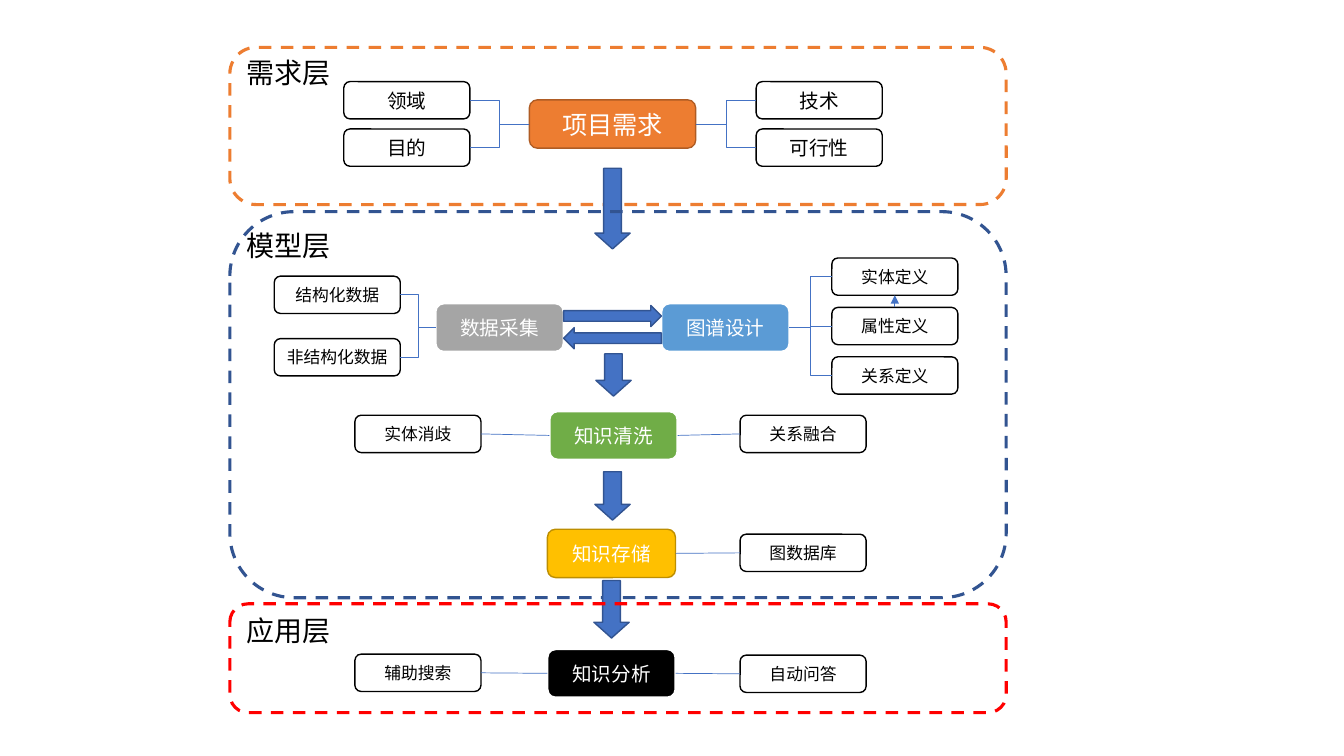
from lxml import etree
from pptx import Presentation
from pptx import util as u
from pptx.dml.color import RGBColor
from pptx.enum import dml, shapes, text
from pptx.oxml import ns

FONT = "Noto Sans CJK SC"
BLUE, NAVY, ORANGE = "4472C4", "325491", "ED7D31"
TOP, LEFT, BOTTOM, RIGHT = range(4)
NODE = shapes.MSO_SHAPE.FLOWCHART_ALTERNATE_PROCESS


def rgb(value):
    """Return the colour for a hex string."""
    return RGBColor.from_string(value)


def inside(box, x, y, w, h):
    """Return a box placed relative to the corner of another."""
    return box[0] + x, box[1] + y, w, h


def draw(slide, kind, box, fill=None, line=None, width=1):
    """Add a preset shape with its fill and outline."""
    shape = slide.shapes.add_shape(kind, *[u.Inches(n) for n in box])
    shape.shadow.inherit = False
    if fill:
        shape.fill.solid()
        shape.fill.fore_color.rgb = rgb(fill)
    else:
        shape.fill.background()
    if line:
        shape.line.color.rgb = rgb(line)
        shape.line.width = u.Pt(width)
    else:
        shape.line.fill.background()
    return shape


def write(shape, words, size=12, color="000000"):
    """Put centred text into a shape."""
    frame = shape.text_frame
    frame.word_wrap = True
    frame.vertical_anchor = text.MSO_ANCHOR.MIDDLE
    frame.margin_left = frame.margin_right = u.Inches(0.05)
    frame.margin_top = frame.margin_bottom = 0
    paragraph = frame.paragraphs[0]
    paragraph.alignment = text.PP_ALIGN.CENTER
    run = paragraph.add_run()
    run.text = words
    run.font.size = u.Pt(size)
    run.font.name = FONT
    run.font.color.rgb = rgb(color)
    etree.SubElement(run._r.get_or_add_rPr(), ns.qn("a:ea"), typeface=FONT)
    return shape


def detail(slide, box, x, y, words, size=12):
    """Add a white node with a black outline."""
    node = draw(slide, NODE, inside(box, x, y, 1.25, 0.37), "FFFFFF", "000000")
    return write(node, words, size)


def stage(slide, box, x, y, words, fill, line="FFFFFF", width=1.5, w=1.27, size=14):
    """Add a coloured node for a main step."""
    node = draw(slide, NODE, inside(box, x, y, w, 0.48), fill, line, width)
    return write(node, words, size, "FFFFFF")


def link(slide, start, start_side, end, end_side, bent=False, arrow=False):
    """Join two nodes with a thin line."""
    kind = shapes.MSO_CONNECTOR.ELBOW if bent else shapes.MSO_CONNECTOR.STRAIGHT
    connector = slide.shapes.add_connector(kind, 0, 0, 0, 0)
    connector.begin_connect(start, start_side)
    connector.end_connect(end, end_side)
    connector.line.color.rgb = rgb(BLUE)
    connector.line.width = u.Pt(0.5)
    if arrow:
        etree.SubElement(connector.line._get_or_add_ln(), ns.qn("a:tailEnd"), type="triangle")
    etree.SubElement(connector._element.spPr, ns.qn("a:effectLst"))


def branch(slide, box, core, side, x, tops, names, size=12):
    """Add a column of details, each joined to the core by an elbow."""
    details = [detail(slide, box, x, y, name, size) for y, name in zip(tops, names)]
    for item in details:
        link(slide, core, side, item, RIGHT if side == LEFT else LEFT, bent=True)
    return details


def down_arrow(slide, box, x, y, height):
    """Add a block arrow to the next step."""
    arrow = draw(slide, shapes.MSO_SHAPE.DOWN_ARROW, inside(box, x, y, 0.35, height), BLUE, NAVY)
    arrow.adjustments[1] = 0.447


def layer_frame(slide, box, name, color, label_top):
    """Add the dashed frame of a layer and its name."""
    frame = draw(slide, shapes.MSO_SHAPE.ROUNDED_RECTANGLE, box, line=color, width=2.25)
    frame.line.dash_style = dml.MSO_LINE.DASH
    write(draw(slide, NODE, inside(box, 0, label_top, 1.17, 0.37)), name, 20)


def requirement_layer(slide, box):
    """Build the top layer."""
    layer_frame(slide, box, "需求层", ORANGE, 0.06)
    project = stage(slide, box, 2.97, 0.52, "项目需求", ORANGE, "AF5C24", 1, w=1.65, size=18)
    tops = 0.34, 0.81
    branch(slide, box, project, LEFT, 1.13, tops, ["领域", "目的"], 14)
    branch(slide, box, project, RIGHT, 5.22, tops, ["技术", "可行性"], 14)
    down_arrow(slide, box, 3.62, 1.2, 0.8)


def model_layer(slide, box):
    """Build the middle layer."""
    layer_frame(slide, box, "模型层", NAVY, 0.15)
    collection = stage(slide, box, 2.04, 0.91, "数据采集", "A5A5A5")
    design = stage(slide, box, 4.28, 0.91, "图谱设计", "5B9BD5")
    branch(slide, box, collection, LEFT, 0.44, [0.64, 1.26], ["结构化数据", "非结构化数据"])
    entity, attribute, _ = branch(slide, box, design, RIGHT, 5.97, [0.46, 0.95, 1.44],
                                  ["实体定义", "属性定义", "关系定义"])
    link(slide, attribute, TOP, entity, BOTTOM, arrow=True)
    for y, turn in (0.93, 0), (1.15, 180):
        exchange = draw(slide, shapes.MSO_SHAPE.RIGHT_ARROW, inside(box, 3.31, y, 0.97, 0.21), BLUE, NAVY)
        exchange.rotation = turn

    cleaning = stage(slide, box, 3.17, 1.98, "知识清洗", "70AD47")
    link(slide, cleaning, LEFT, detail(slide, box, 1.24, 2.02, "实体消歧"), RIGHT)
    link(slide, cleaning, RIGHT, detail(slide, box, 5.06, 2.02, "关系融合"), LEFT)
    storage = stage(slide, box, 3.15, 3.15, "知识存储", "FFC000", "BD8E00", 1)
    link(slide, storage, RIGHT, detail(slide, box, 5.06, 3.2, "图数据库"), LEFT)
    for x, y, height in (3.63, 1.41, 0.42), (3.62, 2.58, 0.48), (3.61, 3.66, 0.57):
        down_arrow(slide, box, x, y, height)


def application_layer(slide, box):
    """Build the bottom layer."""
    layer_frame(slide, box, "应用层", "FF0000", 0.08)
    analysis = stage(slide, box, 3.15, 0.45, "知识分析", "000000")
    link(slide, analysis, LEFT, detail(slide, box, 1.24, 0.5, "辅助搜索"), RIGHT)
    link(slide, analysis, RIGHT, detail(slide, box, 5.06, 0.51, "自动问答"), LEFT)


def main():
    """Build the slide and save it."""
    deck = Presentation()
    deck.slide_width, deck.slide_height = u.Inches(13.33), u.Inches(7.5)
    slide = deck.slides.add_slide(deck.slide_layouts[6])
    requirement_layer(slide, (2.28, 0.47, 7.7, 1.56))
    model_layer(slide, (2.28, 2.1, 7.7, 3.83))
    application_layer(slide, (2.28, 5.99, 7.7, 1.08))
    deck.save("out.pptx")


if __name__ == "__main__":
    main()
